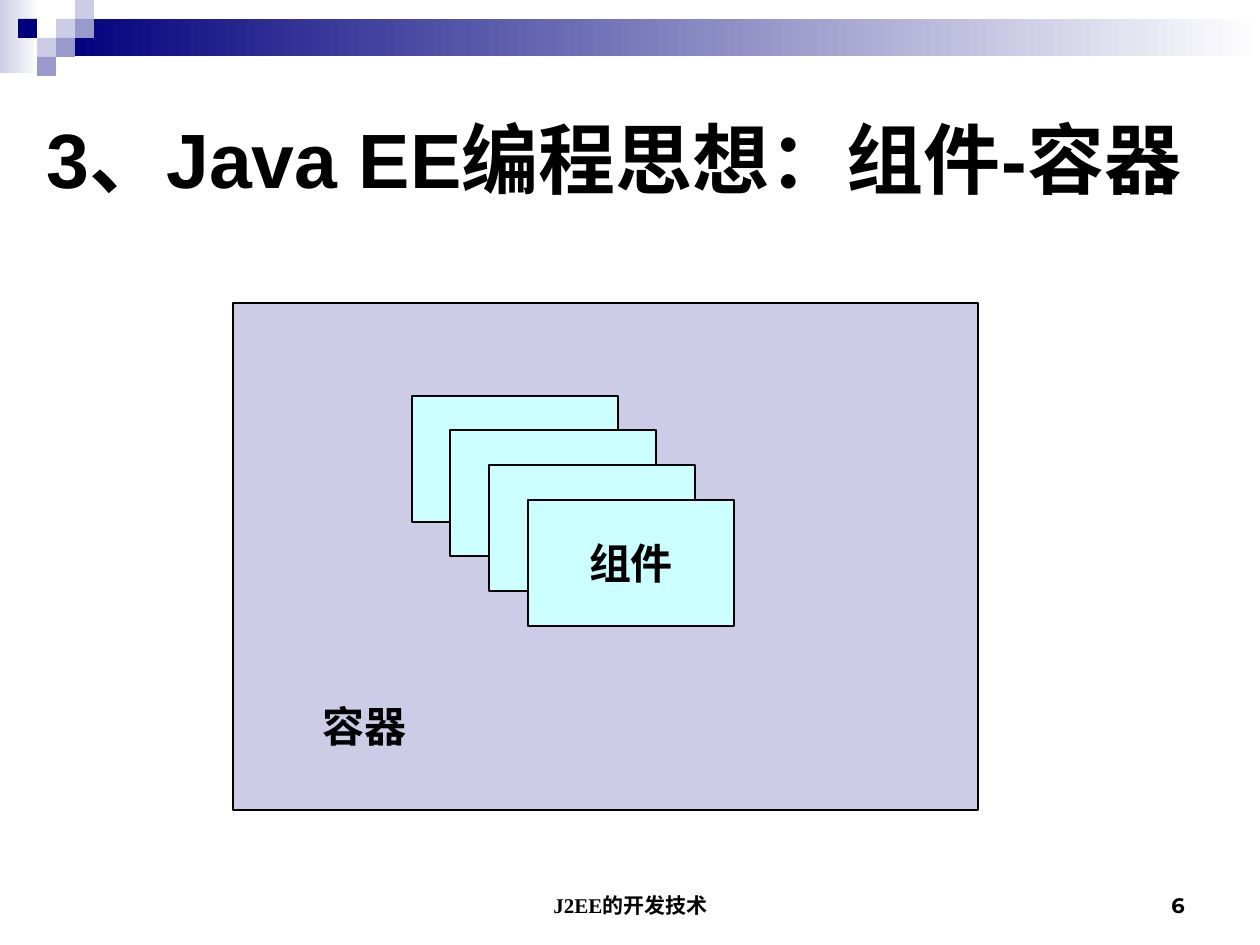
from dataclasses import dataclass

from pptx import Presentation
from pptx.dml.color import RGBColor
from pptx.enum.shapes import MSO_SHAPE
from pptx.enum.text import MSO_ANCHOR, PP_ALIGN
from pptx.util import Emu, Pt


@dataclass(frozen=True)
class Theme:
    ink: str = "000000"
    navy: str = "00007D"
    violet: str = "9999CC"
    lilac: str = "CCCCE6"
    aqua: str = "CCFFFF"
    white: str = "FFFFFF"
    title: int = 44
    label: int = 24
    footer: int = 12
    line: float = 0.75
    sans: str = "Arial"
    serif: str = "Times New Roman"
    number: str = "Montserrat"


THEME = Theme()
PX_PER_INCH = 126


def px(*lengths):
    return [Emu(round(n * 914400 / PX_PER_INCH)) for n in lengths]


def write(shape, text, size, name, align=PP_ALIGN.LEFT,
          anchor=MSO_ANCHOR.TOP, wrap=True):
    tf = shape.text_frame
    for key, value in {"word_wrap": wrap, "vertical_anchor": anchor}.items():
        setattr(tf, key, value)
    p = tf.paragraphs[0]
    p.alignment = align
    r = p.add_run()
    r.text = text
    for key, value in {"size": Pt(size), "name": name, "bold": True}.items():
        setattr(r.font, key, value)
    r.font.color.rgb = RGBColor.from_string(THEME.ink)


def add_text(s, box, text, size, name, **layout):
    write(s.shapes.add_textbox(*px(*box)), text, size, name, **layout)


def add_box(s, box, *colors, outlined=False):
    sp = s.shapes.add_shape(MSO_SHAPE.RECTANGLE, *px(*box))
    sp.shadow.inherit = False
    if len(colors) == 1:
        sp.fill.solid()
        sp.fill.fore_color.rgb = RGBColor.from_string(colors[0])
    else:
        sp.fill.gradient()
        sp.fill.gradient_angle = 0
        for stop, color in zip(sp.fill.gradient_stops, colors):
            stop.color.rgb = RGBColor.from_string(color)
    if outlined:
        sp.line.color.rgb = RGBColor.from_string(THEME.ink)
        sp.line.width = Pt(THEME.line)
    else:
        sp.line.fill.background()
    return sp


def add_banner(s):
    add_box(s, (0, 0, 39, 73), THEME.lilac, THEME.white)
    add_box(s, (57, 19, 1203, 37), THEME.navy, THEME.white)
    cell = 19
    tiles = [(2, 1, THEME.lilac), (3, 0, THEME.lilac), (3, 1, THEME.violet),
             (1, 2, THEME.lilac), (0, 1, THEME.navy), (2, 2, THEME.violet),
             (1, 3, THEME.violet)]
    for col, row, color in tiles:
        add_box(s, (18 + col * cell, row * cell, cell, cell), color)


def add_container(s):
    add_box(s, (233, 303, 745, 507), THEME.lilac, outlined=True)
    add_text(s, (310, 694, 359, 63), "容器", THEME.label, THEME.serif)
    for i in range(4):
        component = add_box(s, (412 + round(i * 38.5), 396 + round(i * 34.5), 206, 126),
                            THEME.aqua, outlined=True)
    write(component, "组件", THEME.label, THEME.serif, align=PP_ALIGN.CENTER,
          anchor=MSO_ANCHOR.MIDDLE, wrap=False)


def main():
    prs = Presentation()
    prs.slide_width, prs.slide_height = px(1260, 945)
    s = prs.slides.add_slide(prs.slide_layouts[6])
    add_banner(s)
    add_text(s, (34, 63, 1191, 189), "3、Java EE编程思想：组件-容器",
             THEME.title, THEME.sans, anchor=MSO_ANCHOR.MIDDLE)
    add_text(s, (431, 861, 399, 63), "J2EE的开发技术", THEME.footer, THEME.serif,
             align=PP_ALIGN.CENTER, anchor=MSO_ANCHOR.BOTTOM)
    add_text(s, (903, 861, 294, 63), "6", THEME.footer, THEME.number,
             align=PP_ALIGN.RIGHT, anchor=MSO_ANCHOR.BOTTOM)
    add_container(s)
    prs.save("out.pptx")


if __name__ == "__main__":
    main()
